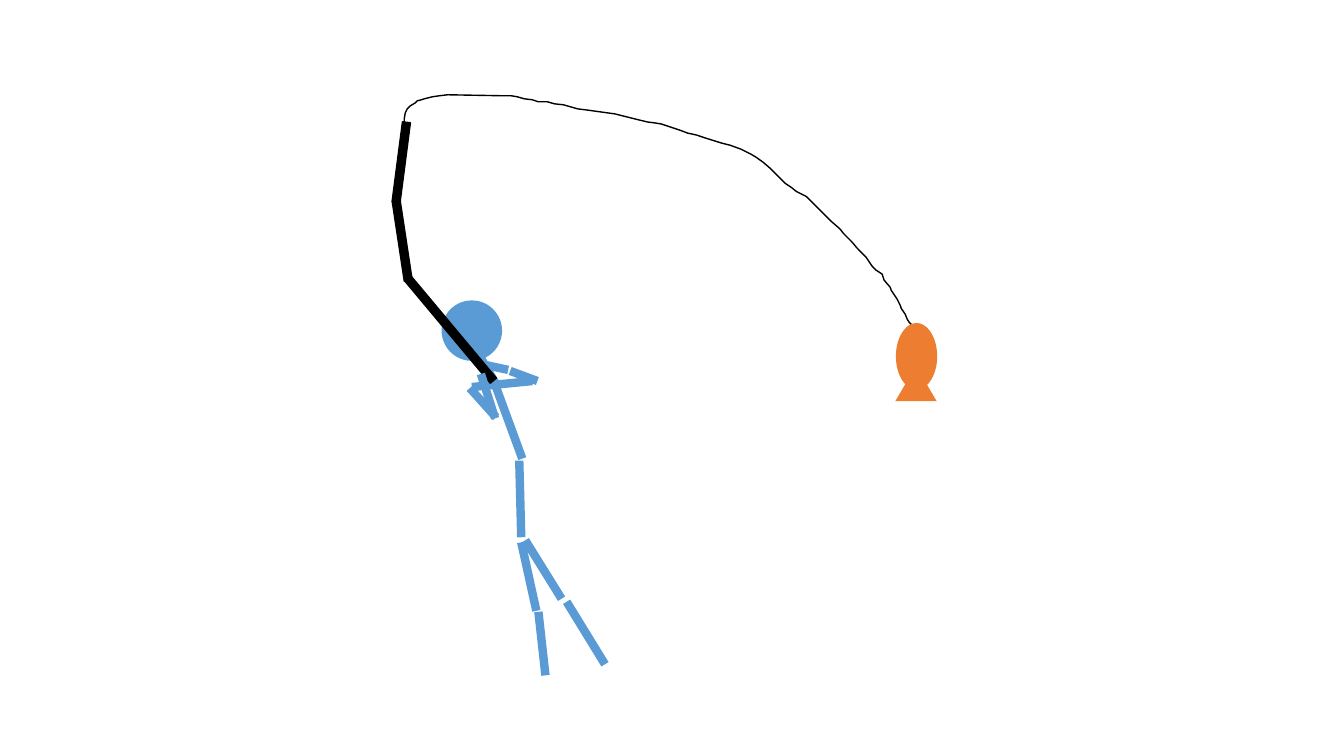
import pptx
import pptx.util
import pptx.dml.color
import pptx.enum.shapes
import pptx.oxml.ns
import lxml.etree

Inches = pptx.util.Inches
KIND = pptx.enum.shapes.MSO_SHAPE
BLUE, BLACK, ORANGE = "5B9BD5", "000000", "ED7D31"

HEAD = (4.38, 2.98, 0.6, 0.6)
LIMBS = [
    (4.75, 3.52, 4.92, 3.81),
    (4.92, 3.84, 5.18, 4.55),
    (5.15, 4.57, 5.17, 5.33),
    (5.28, 3.78, 4.68, 3.84),
    (5.06, 3.68, 5.33, 3.78),
    (4.66, 3.85, 4.92, 4.14),
    (4.81, 3.62, 5.04, 3.67),
    (5.17, 5.38, 5.32, 6.06),
    (5.34, 6.07, 5.41, 6.7),
    (5.21, 5.36, 5.57, 5.94),
    (5.62, 5.97, 6, 6.59),
]
FRONT = (4.91, 4.15, 4.77, 3.71)
ROD = [
    (4.43, 2.61, 0.08, 1.32, 320.1),
    (3.95, 1.99, 0.08, 0.8, 351.4),
    (3.94, 1.21, 0.08, 0.8, 7.4),
]
STRING = [
    (4.01, 1.26), (4.01, 1.18), (4.02, 1.12), (4.04, 1.08), (4.07, 1.05),
    (4.12, 1.02), (4.14, 1), (4.18, 0.99), (4.21, 0.98), (4.29, 0.96),
    (4.36, 0.95), (4.44, 0.94), (4.99, 0.95), (5.07, 0.95), (5.13, 0.96),
    (5.2, 0.98), (5.28, 0.99), (5.34, 1.01), (5.43, 1.01), (5.5, 1.03),
    (5.59, 1.04), (5.66, 1.06), (5.73, 1.08), (5.81, 1.09), (6.1, 1.13),
    (6.26, 1.17), (6.42, 1.21), (6.5, 1.22), (6.56, 1.23), (6.65, 1.26),
    (6.74, 1.29), (6.82, 1.32), (6.91, 1.34), (7, 1.37), (7.16, 1.42),
    (7.24, 1.44), (7.35, 1.48), (7.45, 1.53), (7.5, 1.56), (7.57, 1.61),
    (7.64, 1.67), (7.71, 1.74), (7.79, 1.82), (7.85, 1.86), (7.9, 1.9),
    (8, 1.95), (8.18, 2.13), (8.25, 2.2), (8.33, 2.27), (8.37, 2.32),
    (8.45, 2.4), (8.5, 2.46), (8.59, 2.55), (8.65, 2.64), (8.69, 2.68),
    (8.75, 2.72), (8.77, 2.78), (8.83, 2.85), (8.84, 2.88), (8.9, 2.97),
    (8.93, 3.03), (8.94, 3.06), (8.98, 3.12), (9, 3.17), (9.02, 3.2),
    (9.07, 3.25),
]
FISH = (8.76, 3.33, 0.66, 0.41)
TAIL = (8.88, 3.63, 0.41, 0.35)


def tint(code):
    return pptx.dml.color.RGBColor.from_string(code)


def stroke(item, code, width):
    item.line.color.rgb = tint(code)
    item.line.width = pptx.util.Pt(width)


def shape(group, kind, box, code, turn=0, edge=0):
    item = group.shapes.add_shape(kind, *map(Inches, box))
    item.rotation = turn
    item.shadow.inherit = False
    item.fill.solid()
    item.fill.fore_color.rgb = tint(code)
    if edge:
        stroke(item, code, edge)
    else:
        item.line.fill.background()


def limb(group, ends):
    item = group.shapes.add_connector(
        pptx.enum.shapes.MSO_CONNECTOR.STRAIGHT, *map(Inches, ends))
    stroke(item, BLUE, 6)
    lxml.etree.SubElement(item._element.spPr, pptx.oxml.ns.qn("a:effectLst"))


def string(group, points):
    first, *rest = [(Inches(x), Inches(y)) for x, y in points]
    trace = group.shapes.build_freeform(*first)
    trace.add_line_segments(rest, close=False)
    item = trace.convert_to_shape()
    item.shadow.inherit = False
    item.fill.background()
    stroke(item, BLACK, 1)


def main():
    deck = pptx.Presentation()
    deck.slide_width, deck.slide_height = Inches(13.33), Inches(7.5)
    slide = deck.slides.add_slide(deck.slide_layouts[6])
    group = slide.shapes.add_group_shape()
    shape(group, KIND.OVAL, HEAD, BLUE, 353.6)
    for ends in LIMBS:
        limb(group, ends)
    for *box, turn in ROD:
        shape(group, KIND.RECTANGLE, box, BLACK, turn, 1)
    limb(group, FRONT)
    string(group, STRING)
    shape(group, KIND.OVAL, FISH, ORANGE, 90)
    shape(group, KIND.ISOSCELES_TRIANGLE, TAIL, ORANGE)
    deck.save("out.pptx")


if __name__ == "__main__":
    main()
